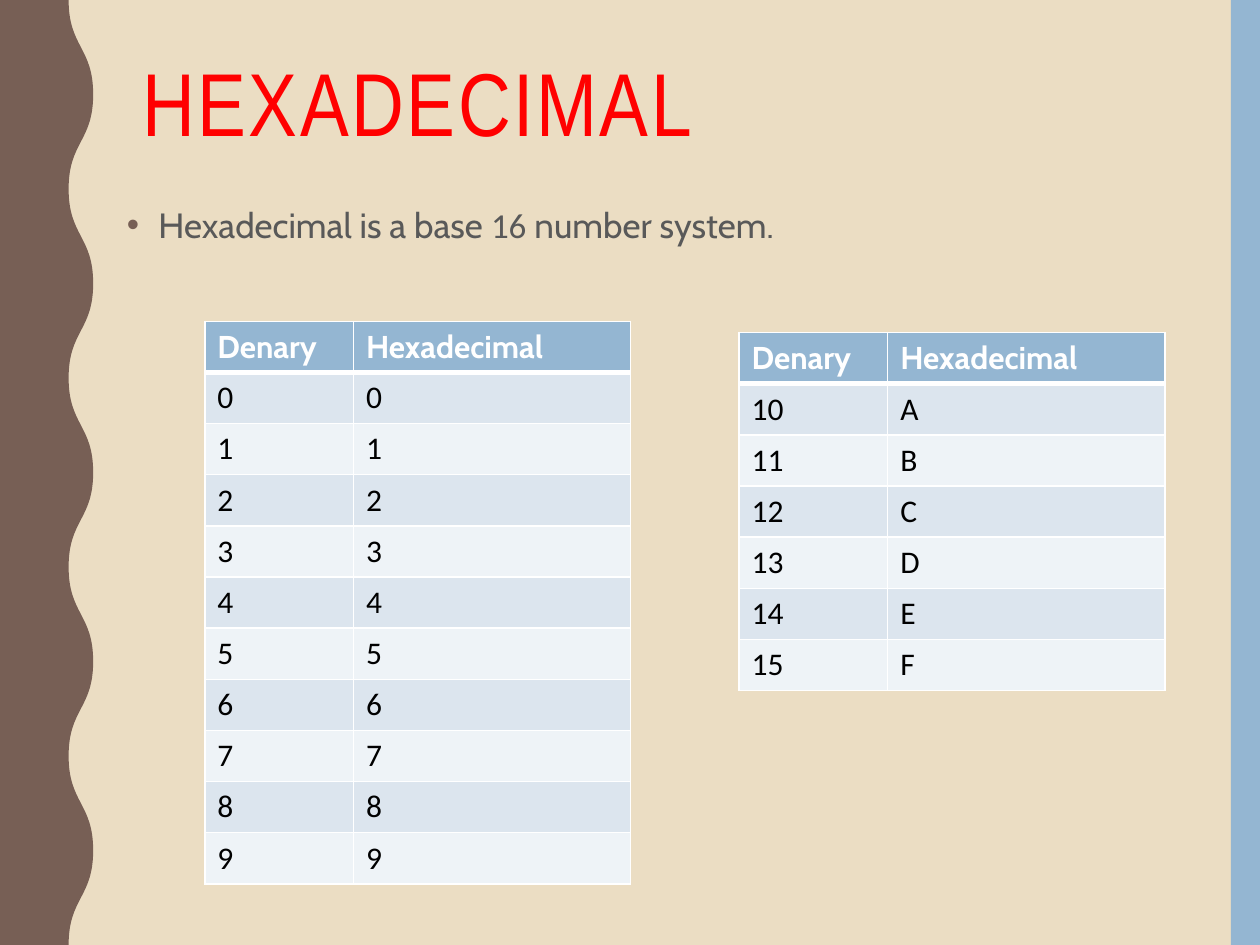
from dataclasses import dataclass
from lxml.etree import SubElement
from pptx import Presentation
from pptx.dml.color import RGBColor
from pptx.enum.shapes import MSO_SHAPE
from pptx.enum.text import MSO_ANCHOR
from pptx.oxml.ns import qn
from pptx.util import Inches, Pt


@dataclass(frozen=True)
class Theme:
    background: str = "EBDDC3"
    blue: str = "94B6D2"
    brown: str = "775F55"
    red: str = "FF0000"
    grey: str = "595959"
    white: str = "FFFFFF"
    black: str = "000000"
    bands: tuple = ("DCE5EE", "EEF3F7")
    title_size: float = 51
    body_size: float = 20
    table_size: float = 18
    title_font: str = "Arial Narrow"
    text_font: str = "Cabin"
    number_font: str = "Calibri"


def add_run(paragraph, text, font, size, color, bold=False):
    run = paragraph.add_run()
    run.text = text
    run.font.name = font
    run.font.size = Pt(size)
    run.font.bold = bold
    run.font.color.rgb = RGBColor.from_string(color)
    return run


def set_border(cell, edge, width):
    line = SubElement(cell._tc.get_or_add_tcPr(), qn(f"a:ln{edge}"), w=str(Pt(width)))
    fill = SubElement(line, qn("a:solidFill"))
    SubElement(fill, qn("a:srgbClr"), val=theme.white)


theme = Theme()
presentation = Presentation()
presentation.slide_width = Inches(10)
presentation.slide_height = Inches(7.5)
column = presentation.slide_width / 100
row = presentation.slide_height / 75
slide = presentation.slides.add_slide(presentation.slide_layouts[6])
slide.background.fill.solid()
slide.background.fill.fore_color.rgb = RGBColor.from_string(theme.background)

side_bar = slide.shapes.add_shape(
    MSO_SHAPE.RECTANGLE, int(97.7 * column), 0, int(2.3 * column), int(75 * row))

trough, crest, half_waves = 5.45, 7.4, 10
half_height = 75 / half_waves
turns = [
    (int((crest if turn % 2 else trough) * column), int(turn * half_height * row))
    for turn in range(half_waves + 1)
]
builder = slide.shapes.build_freeform(*turns[0])
builder.add_line_segments(turns[1:] + [(0, int(75 * row)), (0, 0)], close=True)
wave = builder.convert_to_shape()
segments = list(wave._element.iter(qn("a:lnTo")))
for segment, (start_x, start_y), (end_x, end_y) in zip(segments, turns, turns[1:]):
    middle_y = (start_y + end_y) // 2
    curve = segment.makeelement(qn("a:cubicBezTo"))
    for x, y in ((start_x, middle_y), (end_x, middle_y), (end_x, end_y)):
        SubElement(curve, qn("a:pt"), x=str(x), y=str(y))
    segment.getparent().replace(segment, curve)

for shape, color in ((side_bar, theme.blue), (wave, theme.brown)):
    shape.shadow.inherit = False
    shape.fill.solid()
    shape.fill.fore_color.rgb = RGBColor.from_string(color)
    shape.line.fill.background()

paragraphs = []
for left, top, width, height, spacing in (
    (10.3, 4.2, 83.5, 16.3, 0.9),
    (9.1, 15.3, 86.6, 50.6, 1.1),
):
    box = slide.shapes.add_textbox(
        int(left * column), int(top * row), int(width * column), int(height * row))
    box.text_frame.word_wrap = True
    box.text_frame.vertical_anchor = MSO_ANCHOR.TOP
    paragraph = box.text_frame.paragraphs[0]
    paragraph.line_spacing = spacing
    paragraphs.append(paragraph)
title, statement = paragraphs

title_run = add_run(title, "HEXADECIMAL", theme.title_font, theme.title_size, theme.red)
title_run.font._element.set("spc", "150")

statement.space_before = Pt(7)
properties = statement._p.get_or_add_pPr()
properties.set("marL", str(Inches(0.25)))
properties.set("indent", str(Inches(-0.25)))
bullet_color = SubElement(properties, qn("a:buClr"))
SubElement(bullet_color, qn("a:srgbClr"), val=theme.brown)
SubElement(properties, qn("a:buFont"), typeface="Arial")
SubElement(properties, qn("a:buChar"), char="•")
for text, font in (
    ("Hexadecimal is a base ", theme.text_font),
    ("16", theme.number_font),
    (" number system.", theme.text_font),
):
    add_run(statement, text, font, theme.body_size, theme.grey)

table_row = 4.06
for left, top, numbers in ((16.25, 25.5, range(10)), (58.65, 26.4, range(10, 16))):
    records = [("Denary", "Hexadecimal")] + [(str(n), f"{n:X}") for n in numbers]
    table = slide.shapes.add_table(
        len(records), 2, int(left * column), int(top * row),
        int(33.8 * column), int(table_row * len(records) * row)).table
    for table_column, width in zip(table.columns, (11.8, 22)):
        table_column.width = int(width * column)
    for row_index, record in enumerate(records):
        table.rows[row_index].height = int(table_row * row)
        header = row_index == 0
        fill = theme.blue if header else theme.bands[(row_index - 1) % 2]
        font = theme.text_font if header else theme.number_font
        color = theme.white if header else theme.black
        for column_index, text in enumerate(record):
            cell = table.cell(row_index, column_index)
            set_border(cell, "L", 1)
            set_border(cell, "R", 1)
            set_border(cell, "T", 3 if row_index == 1 else 1)
            set_border(cell, "B", 3 if header else 1)
            cell.fill.solid()
            cell.fill.fore_color.rgb = RGBColor.from_string(fill)
            add_run(cell.text_frame.paragraphs[0], text, font,
                    theme.table_size, color, header)

presentation.save("out.pptx")
